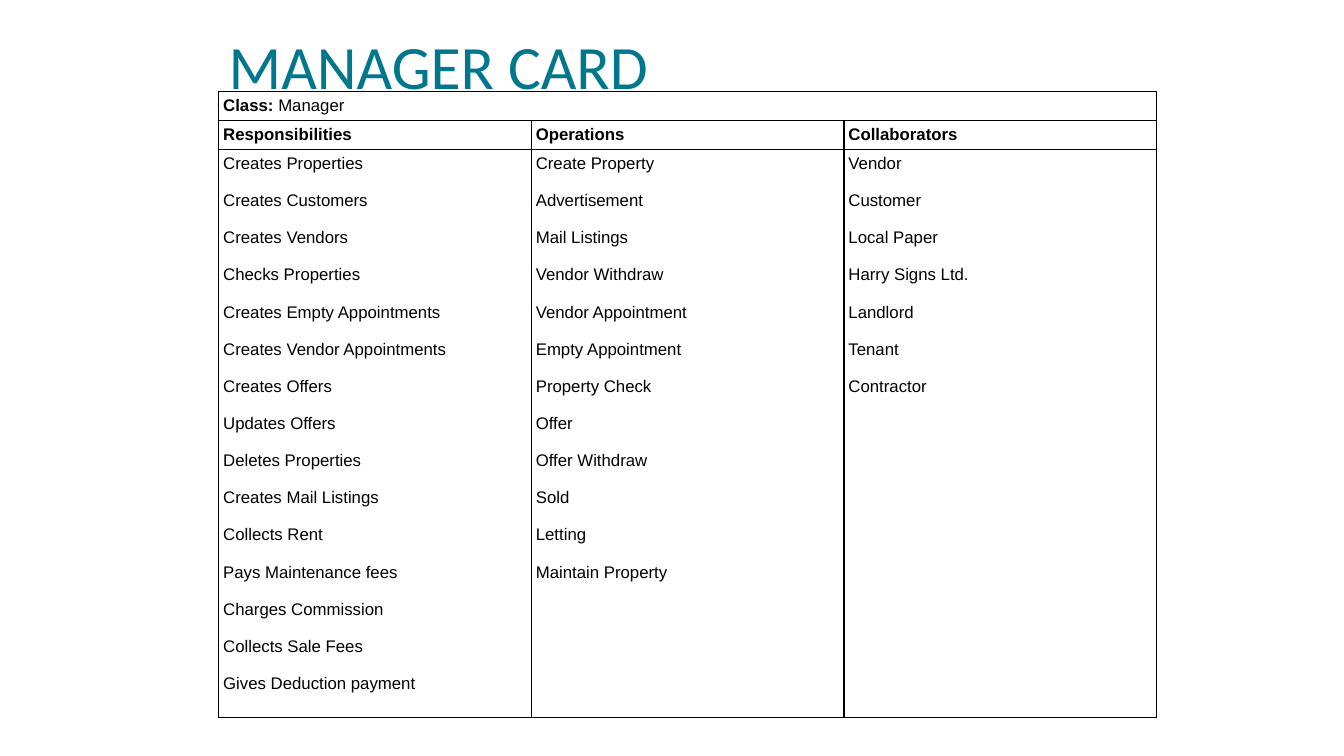
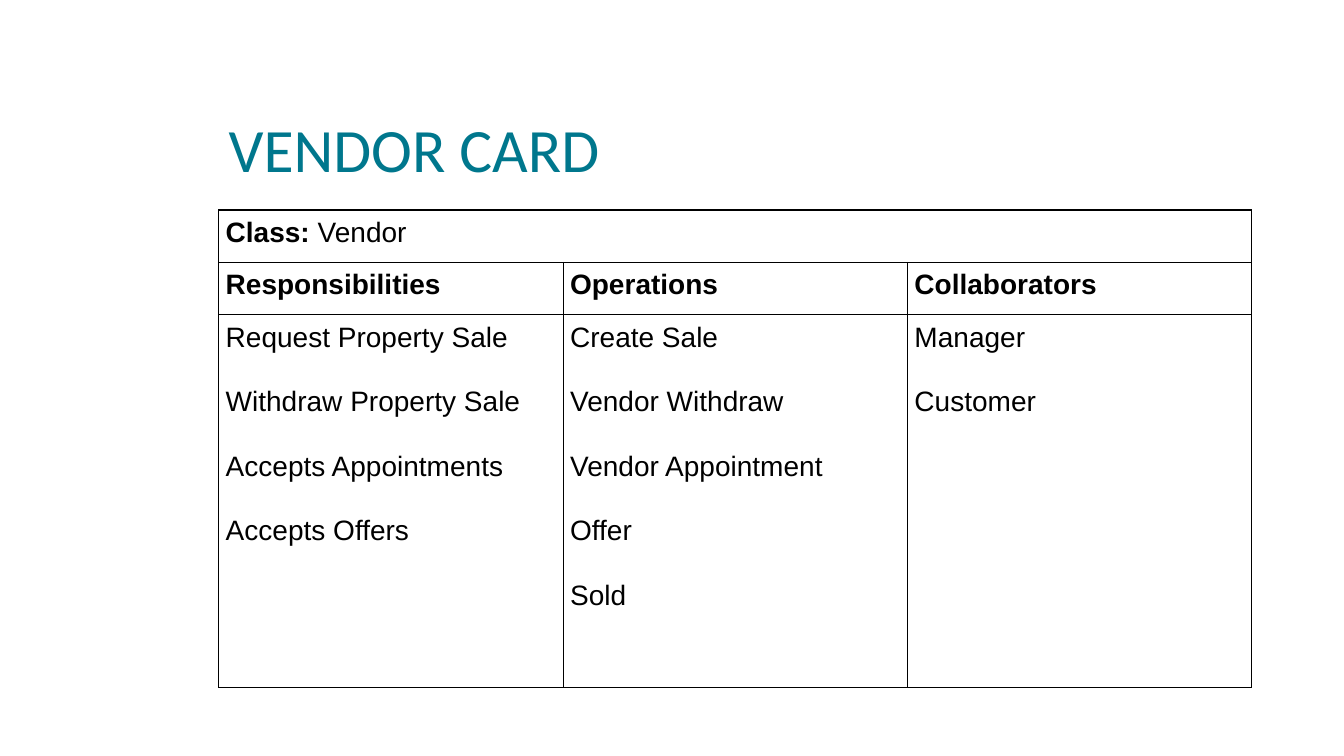
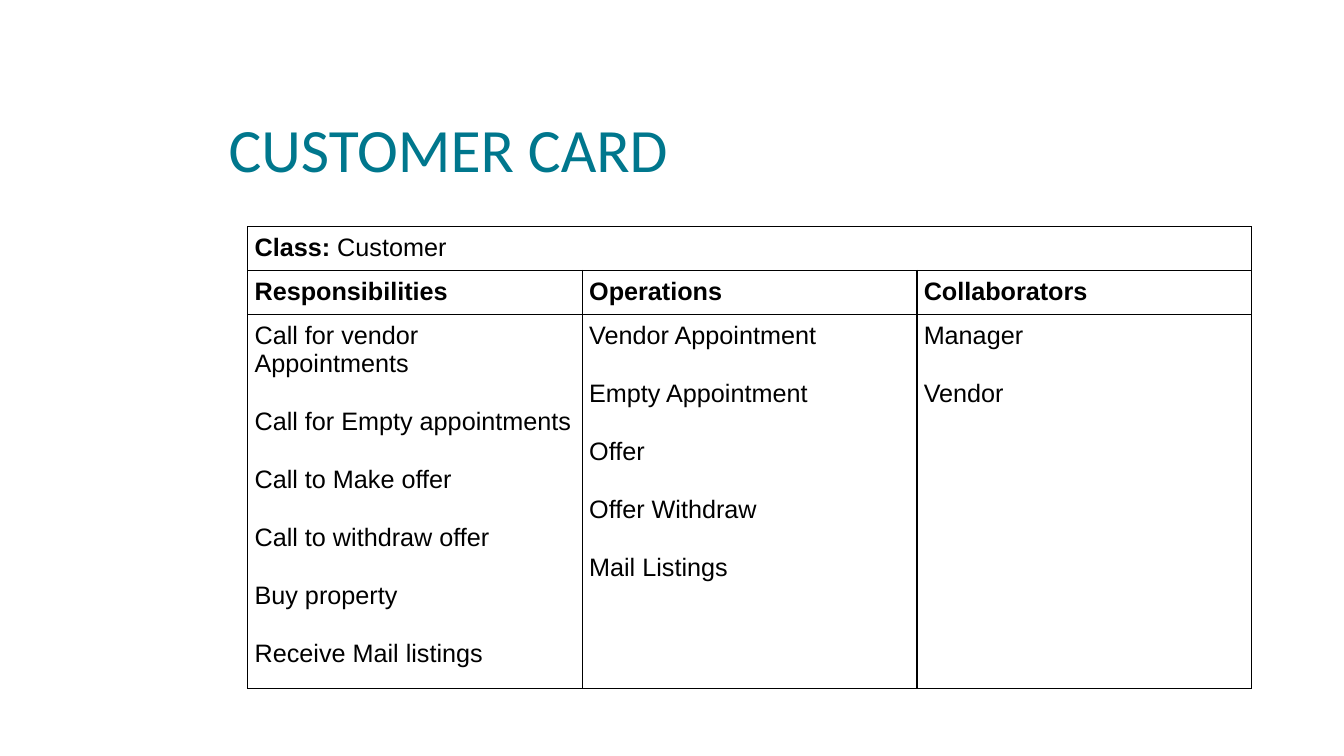
from lxml import etree
from pptx import Presentation
from pptx.dml.color import RGBColor
from pptx.enum import text
from pptx.oxml import ns
from pptx.util import Pt

TEAL = RGBColor(0x00, 0x77, 0x8D)
BLACK = RGBColor(0x00, 0x00, 0x00)
TITLE_FONT = "Calibri"
TABLE_FONT = "Arial"
TITLE_LEFT, TITLE_WIDTH = 156.25, 738
HEADINGS = ["Responsibilities", "Operations", "Collaborators"]

CARDS = [
    {
        "name": "Manager",
        "title_top": 11.5, "title_height": 61.2,
        "left": 156.25, "top": 65.4, "width": 670,
        "row_heights": [20, 20, 396.4],
        "size": 12, "inset": 3.2, "gap": 13.1,
        "columns": [
            ["Creates Properties", "Creates Customers", "Creates Vendors",
             "Checks Properties", "Creates Empty Appointments",
             "Creates Vendor Appointments", "Creates Offers", "Updates Offers",
             "Deletes Properties", "Creates Mail Listings", "Collects Rent",
             "Pays Maintenance fees", "Charges Commission",
             "Collects Sale Fees", "Gives Deduction payment"],
            ["Create Property", "Advertisement", "Mail Listings",
             "Vendor Withdraw", "Vendor Appointment", "Empty Appointment",
             "Property Check", "Offer", "Offer Withdraw", "Sold", "Letting",
             "Maintain Property"],
            ["Vendor", "Customer", "Local Paper", "Harry Signs Ltd.",
             "Landlord", "Tenant", "Contractor"],
        ],
    },
    {
        "name": "Vendor",
        "title_top": 30.25, "title_height": 102.25,
        "left": 156.25, "top": 150, "width": 738,
        "row_heights": [37.4, 37.4, 266.2],
        "size": 20, "inset": 5, "gap": 23.8,
        "columns": [
            ["Request Property Sale", "Withdraw Property Sale",
             "Accepts Appointments", "Accepts Offers"],
            ["Create Sale", "Vendor Withdraw", "Vendor Appointment", "Offer",
             "Sold"],
            ["Manager", "Customer"],
        ],
    },
    {
        "name": "Customer",
        "title_top": 30.25, "title_height": 102.25,
        "left": 177, "top": 161.9, "width": 717,
        "row_heights": [30.4, 30.4, 260.7],
        "size": 18, "inset": 4.9, "gap": 21.3,
        "columns": [
            ["Call for vendor Appointments", "Call for Empty appointments",
             "Call to Make offer", "Call to withdraw offer", "Buy property",
             "Receive Mail listings"],
            ["Vendor Appointment", "Empty Appointment", "Offer",
             "Offer Withdraw", "Mail Listings"],
            ["Manager", "Vendor"],
        ],
    },
]


def add_run(paragraph, words, font_name, size, color, bold=False):
    run = paragraph.add_run()
    run.text = words
    run.font.name = font_name
    run.font.size = Pt(size)
    run.font.bold = bold
    run.font.color.rgb = color


def style_cell(cell, inset):
    """Give a cell thin black borders, no fill and equal margins."""
    properties = cell._tc.get_or_add_tcPr()
    for side in ("lnL", "lnR", "lnT", "lnB"):
        line = etree.SubElement(properties, ns.qn(f"a:{side}"), w=str(Pt(1)))
        fill = etree.SubElement(line, ns.qn("a:solidFill"))
        etree.SubElement(fill, ns.qn("a:srgbClr"), val=str(BLACK))
    cell.fill.background()
    cell.margin_left = cell.margin_right = Pt(inset)
    cell.margin_top = cell.margin_bottom = Pt(inset)


presentation = Presentation()
presentation.slide_width = Pt(960)
presentation.slide_height = Pt(540)

for card in CARDS:
    slide = presentation.slides.add_slide(presentation.slide_layouts[6])
    size = card["size"]

    title = slide.shapes.add_textbox(Pt(TITLE_LEFT), Pt(card["title_top"]),
                                     Pt(TITLE_WIDTH), Pt(card["title_height"]))
    frame = title.text_frame
    frame.word_wrap = True
    frame.vertical_anchor = text.MSO_ANCHOR.BOTTOM
    frame.margin_bottom = Pt(0)
    frame.paragraphs[0].line_spacing = 0.85
    add_run(frame.paragraphs[0], f"{card['name'].upper()} CARD", TITLE_FONT, 44, TEAL)

    table = slide.shapes.add_table(
        3, 3, Pt(card["left"]), Pt(card["top"]),
        Pt(card["width"]), Pt(sum(card["row_heights"]))).table
    table.first_row = table.horz_banding = False
    for row, height in zip(table.rows, card["row_heights"]):
        row.height = Pt(height)
    for cell in table.iter_cells():
        style_cell(cell, card["inset"])

    table.cell(0, 0).merge(table.cell(0, 2))
    class_line = table.cell(0, 0).text_frame.paragraphs[0]
    add_run(class_line, "Class: ", TABLE_FONT, size, BLACK, bold=True)
    add_run(class_line, card["name"], TABLE_FONT, size, BLACK)

    for column, (heading, entries) in enumerate(zip(HEADINGS, card["columns"])):
        add_run(table.cell(1, column).text_frame.paragraphs[0], heading,
                TABLE_FONT, size, BLACK, bold=True)
        frame = table.cell(2, column).text_frame
        for index, entry in enumerate(entries):
            if index == 0:
                paragraph = frame.paragraphs[0]
            else:
                paragraph = frame.add_paragraph()
                paragraph.space_before = Pt(card["gap"])
            add_run(paragraph, entry, TABLE_FONT, size, BLACK)

presentation.save("out.pptx")
